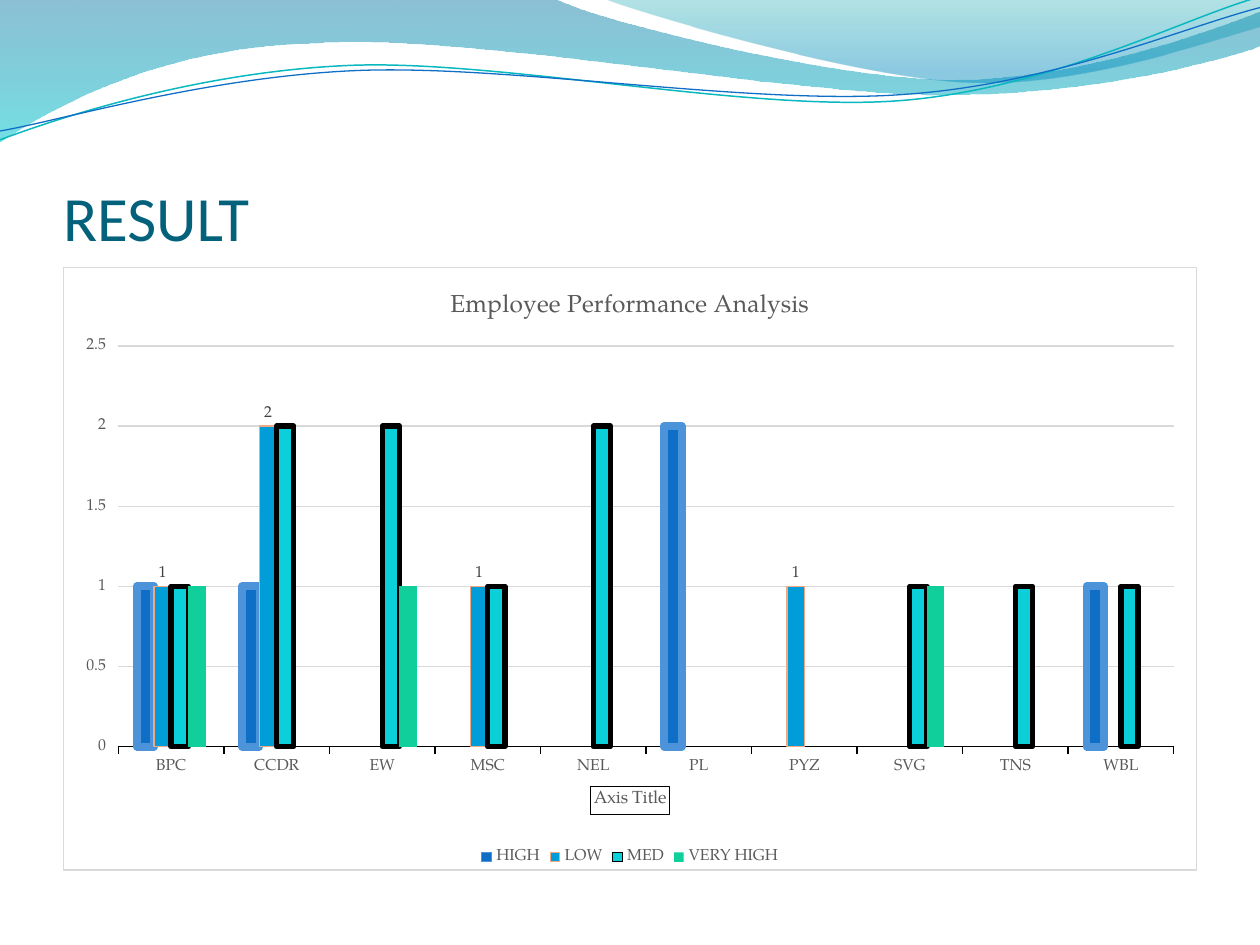
"""Build the employee performance result slide with its wave header and chart."""
from dataclasses import dataclass
from math import cos, radians, sin
from typing import Optional

from lxml.etree import SubElement
from pptx import Presentation
from pptx.chart.data import CategoryChartData
from pptx.dml.color import RGBColor
from pptx.enum.chart import XL_CHART_TYPE, XL_LABEL_POSITION, XL_LEGEND_POSITION, XL_TICK_MARK
from pptx.enum.text import MSO_ANCHOR, MSO_AUTO_SIZE, PP_ALIGN
from pptx.oxml import parse_xml
from pptx.oxml.ns import nsdecls, qn
from pptx.util import Inches, Pt

CHART_FONT = "TeX Gyre Pagella"
GREY = "595959"
GRID = "D9D9D9"


@dataclass
class GradientStop:
    position: float
    color: str
    opacity: int


@dataclass
class Wave:
    """Segments hold one point for a line or three for a Bezier curve."""
    box: tuple
    start: tuple
    segments: list
    stops: tuple = ()
    line: Optional[tuple] = None
    rotation: float = 0


@dataclass
class Series:
    name: str
    values: tuple
    color: str
    line: Optional[tuple] = None
    labelled: bool = False


WAVES = [
    Wave((-0.01, -0.01, 10.02, 1.14), (0, 0), [
        [(4.4, -0.01)],
        [(4.76, 0.17), (6.64, 0.63), (7.58, 0.63)],
        [(8.53, 0.63), (9.58, 0.26), (10, 0.09)],
        [(10.01, 0.36)],
        [(9.83, 0.44), (8.7, 0.76), (7.46, 0.75)],
        [(6.22, 0.75), (3.82, 0.28), (2.57, 0.34)],
        [(1.29, 0.36), (0.46, 0.83), (-0.01, 1.13)],
        [(0, 0)],
    ], stops=(GradientStop(0, "0074A1", 45), GradientStop(1, "00C6CF", 55))),
    Wave((4.79, -0.01, 5.21, 0.7), (4.79, -0.01), [
        [(5.09, 0.11), (6.82, 0.62), (7.69, 0.65)],
        [(8.56, 0.69), (9.61, 0.32), (10, 0.21)],
        [(10, 0)],
        [(4.79, -0.01)],
    ], stops=(GradientStop(0, "00A1A9", 30), GradientStop(0.8, "008BBF", 45))),
    Wave((-0.02, 0.22, 10.02, 0.71), (0, 1.11), [
        [(0.48, 0.93), (1.58, 0.57), (2.77, 0.52)],
        [(3.95, 0.47), (5.93, 0.89), (7.13, 0.8)],
        [(8.33, 0.71), (9.38, 0.15), (9.98, -0.02)],
    ], line=("0AB8BF", 0.85), rotation=-2.7),
    Wave((-0.02, 0.3, 10.03, 0.58), (0, 1.04), [
        [(0.47, 0.96), (1.64, 0.61), (2.83, 0.56)],
        [(4.03, 0.51), (5.97, 0.84), (7.17, 0.75)],
        [(8.36, 0.67), (9.41, 0.21), (10, 0.06)],
    ], line=("0F6FC6", 0.75), rotation=-2.7),
]

CATEGORIES = ("BPC", "CCDR", "EW", "MSC", "NEL", "PL", "PYZ", "SVG", "TNS", "WBL")
SERIES = [
    Series("HIGH", (1, 1, None, None, None, 2, None, None, None, 1), "0F6FC6", ("4D93D9", 4.5)),
    Series("LOW", (1, 2, None, 1, None, None, 1, None, None, None), "009DD9", ("F1A983", 0.75), True),
    Series("MED", (1, 2, 2, 1, 2, None, None, 1, 1, 1), "0BD0D9", ("000000", 3)),
    Series("VERY HIGH", (1, None, 1, None, None, None, None, 1, None, None), "10CF9B"),
]


def rgb(color: str) -> RGBColor:
    return RGBColor.from_string(color)


def set_line(line, style: Optional[tuple]) -> None:
    if style is None:
        line.fill.background()
    else:
        line.color.rgb = rgb(style[0])
        line.width = Pt(style[1])


def set_fill(fill, color: str) -> None:
    fill.solid()
    fill.fore_color.rgb = rgb(color)


def set_font(font, size: float, color: str, name: str = CHART_FONT) -> None:
    font.size = Pt(size)
    font.name = name
    font.bold = False
    font.color.rgb = rgb(color)


def local_point(wave: Wave, point: tuple) -> tuple:
    """Turn a slide point back by the wave's rotation and measure it from its box."""
    left, top, width, height = wave.box
    angle = radians(-wave.rotation)
    x, y = point[0] - left - width / 2, point[1] - top - height / 2
    return (Inches(x * cos(angle) - y * sin(angle) + width / 2),
            Inches(x * sin(angle) + y * cos(angle) + height / 2))


def trace_curves(shape, wave: Wave) -> None:
    outline = next(shape._element.iter(qn("a:path")))
    outline.set("w", str(Inches(wave.box[2])))
    outline.set("h", str(Inches(wave.box[3])))
    for command in list(outline):
        outline.remove(command)
    for index, points in enumerate([[wave.start], *wave.segments]):
        tag = "a:moveTo" if index == 0 else "a:lnTo" if len(points) == 1 else "a:cubicBezTo"
        command = SubElement(outline, qn(tag))
        for point in points:
            x, y = local_point(wave, point)
            SubElement(command, qn("a:pt"), x=str(x), y=str(y))
    if wave.stops:
        SubElement(outline, qn("a:close"))


def draw_wave(slide, wave: Wave) -> None:
    builder = slide.shapes.build_freeform(*map(Inches, wave.start))
    builder.add_line_segments([tuple(map(Inches, segment[-1])) for segment in wave.segments], close=False)
    shape = builder.convert_to_shape()
    shape.left, shape.top, shape.width, shape.height = map(Inches, wave.box)
    shape.rotation = wave.rotation
    trace_curves(shape, wave)
    shape.shadow.inherit = False
    set_line(shape.line, wave.line)
    if not wave.stops:
        shape.fill.background()
        return
    shape.fill.gradient()
    shape.fill.gradient_angle = 270
    for gradient_stop, stop in zip(shape.fill.gradient_stops, wave.stops):
        gradient_stop.position = stop.position
        gradient_stop.color.rgb = rgb(stop.color)
    for color, stop in zip(shape._element.spPr.iter(qn("a:srgbClr")), wave.stops):
        SubElement(color, qn("a:alpha"), val=str(stop.opacity * 1000))


def write_title(slide, text: str) -> None:
    title = slide.shapes.title
    title.left, title.top, title.width, title.height = map(Inches, (0.5, 0.77, 9, 1.25))
    frame = title.text_frame
    frame.auto_size = MSO_AUTO_SIZE.NONE
    frame.vertical_anchor = MSO_ANCHOR.BOTTOM
    frame.margin_left = frame.margin_right = frame.margin_bottom = 0
    frame.margin_top = Inches(0.05)
    paragraph = frame.paragraphs[0]
    paragraph.alignment = PP_ALIGN.LEFT
    run = paragraph.add_run()
    run.text = text
    set_font(run.font, 36, "04617B", "Calibri")


def format_axes(chart) -> None:
    for axis in (chart.category_axis, chart.value_axis):
        axis.major_tick_mark = XL_TICK_MARK.OUTSIDE
        axis.minor_tick_mark = XL_TICK_MARK.NONE
        set_font(axis.tick_labels.font, 9, GREY)
    set_line(chart.category_axis.format.line, ("000000", 0.75))
    axis_title = chart.category_axis.axis_title
    set_line(axis_title.format.line, ("000000", 0.75))
    axis_title._element.append(parse_xml(
        f'<c:txPr {nsdecls("c", "a")}><a:bodyPr/><a:p><a:pPr><a:defRPr sz="1000" b="0"><a:solidFill>'
        f'<a:srgbClr val="{GREY}"/></a:solidFill><a:latin typeface="{CHART_FONT}"/></a:defRPr></a:pPr>'
        '</a:p></c:txPr>'))
    value_axis = chart.value_axis
    set_line(value_axis.format.line, None)
    set_line(value_axis.major_gridlines.format.line, (GRID, 0.75))


def format_series(chart_series, series: Series) -> None:
    set_fill(chart_series.format.fill, series.color)
    set_line(chart_series.format.line, series.line)
    if series.labelled:
        labels = chart_series.data_labels
        labels.show_value = True
        labels.position = XL_LABEL_POSITION.OUTSIDE_END
        set_font(labels.font, 9, "404040")


def draw_chart(slide) -> None:
    data = CategoryChartData()
    data.categories = CATEGORIES
    for series in SERIES:
        data.add_series(series.name, series.values)
    frame = slide.shapes.add_chart(XL_CHART_TYPE.COLUMN_CLUSTERED,
                                   *map(Inches, (0.5, 2.12, 9, 4.79)), data)
    chart = frame.chart
    set_font(chart.font, 10, "000000")
    run = chart.chart_title.text_frame.paragraphs[0].add_run()
    run.text = "Employee Performance Analysis"
    set_font(run.font, 14, GREY)
    chart.chart_title.include_in_layout = False
    chart.has_legend = True
    chart.legend.position = XL_LEGEND_POSITION.BOTTOM
    chart.legend.include_in_layout = False
    set_font(chart.legend.font, 9, GREY)
    plot = chart.plots[0]
    plot.gap_width, plot.overlap, plot.vary_by_categories = 214, 0, False
    for chart_series, series in zip(plot.series, SERIES):
        format_series(chart_series, series)
    format_axes(chart)
    chart._chartSpace.find(qn("c:txPr")).addprevious(parse_xml(
        f'<c:spPr {nsdecls("c", "a")}><a:solidFill><a:srgbClr val="FFFFFF"/></a:solidFill>'
        f'<a:ln w="{Pt(0.75)}"><a:solidFill><a:srgbClr val="{GRID}"/></a:solidFill></a:ln></c:spPr>'))


def main() -> None:
    presentation = Presentation()
    presentation.slide_width, presentation.slide_height = Inches(10), Inches(7.5)
    slide = presentation.slides.add_slide(presentation.slide_layouts[5])
    for wave in WAVES:
        draw_wave(slide, wave)
    write_title(slide, "RESULT")
    draw_chart(slide)
    presentation.save("out.pptx")


if __name__ == "__main__":
    main()
